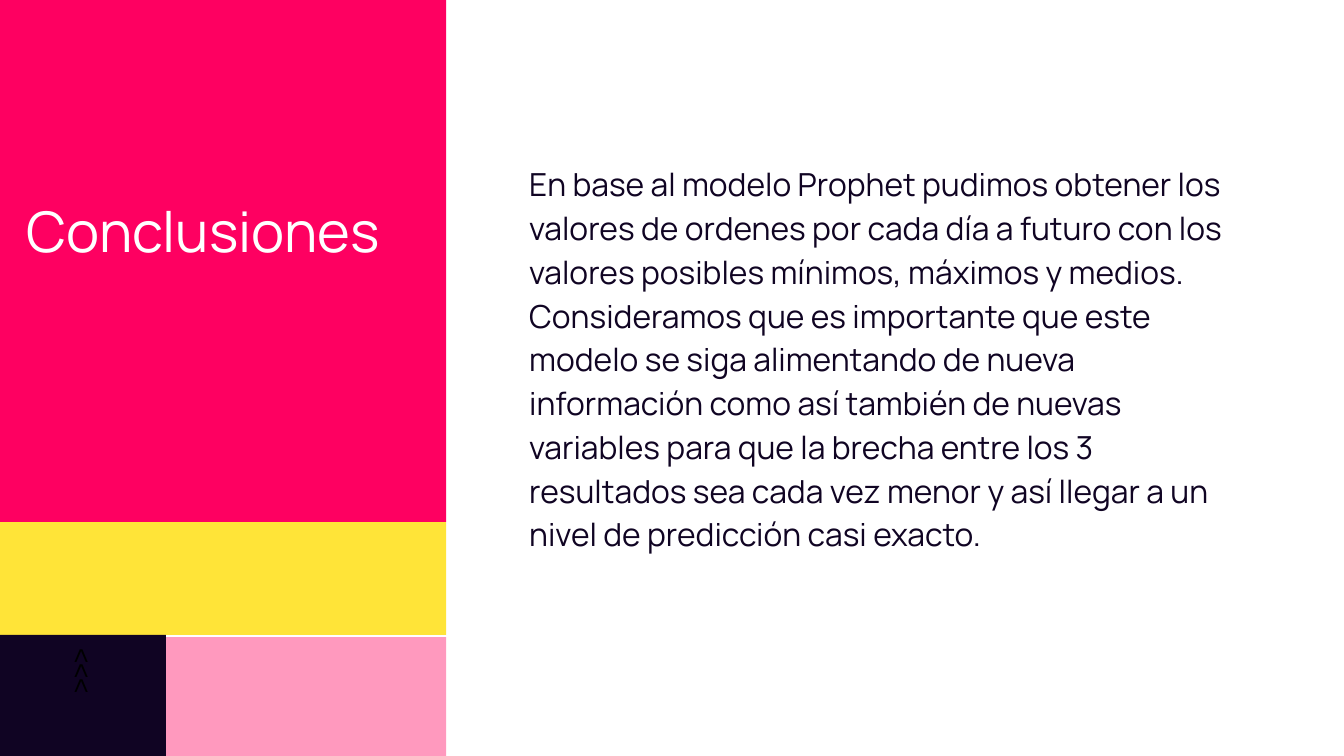
from pptx import Presentation
from pptx.dml.color import RGBColor
from pptx.enum import shapes, text
from pptx import util as u

WIDTH, HEIGHT = 1344, 756
SCALE = u.Inches(10) / WIDTH
INSET = 13.44

PINK = RGBColor(0xFF, 0x99, 0xBE)
YELLOW = RGBColor(0xFF, 0xE4, 0x38)
RED = RGBColor(0xFE, 0x00, 0x61)
NAVY = RGBColor(0x10, 0x04, 0x23)
WHITE = RGBColor(0xFF, 0xFF, 0xFF)
BLACK = RGBColor(0, 0, 0)

TITLE = "Conclusiones"
TITLE_BOX = (13, 183, 433, 95)
BODY = [
    "En base al modelo Prophet pudimos obtener los valores de ordenes por cada día "
    "a futuro con los valores posibles mínimos, máximos y medios.",
    "Consideramos que es importante que este modelo se siga alimentando de nueva "
    "información como así también de nuevas variables para que la brecha entre los "
    "3 resultados sea cada vez menor y así llegar a un nivel de predicción casi exacto.",
]
BODY_BOX = (516, 146, 747, 464)
# Left, top, width and height as seen on the slide, colour, label
BLOCKS = [
    ((165, 637, 281, 119), PINK, ""),
    ((-3, 522, 449, 113), YELLOW, ""),
    ((-1, -1, 447, 523), RED, ""),
    ((0, 635, 166, 121), NAVY, "<<<"),
]


def emu(*pixels):
    """Turn pixels into EMU."""
    return [u.Emu(round(pixel * SCALE)) for pixel in pixels]


def write(shape, lines, size, font, colour, anchor, spacing=None):
    """Fill a shape with left-aligned paragraphs in one style."""
    frame = shape.text_frame
    frame.text = "\n".join(lines)
    frame.word_wrap = True
    frame.auto_size = text.MSO_AUTO_SIZE.NONE
    frame.vertical_anchor = anchor
    (frame.margin_left, frame.margin_top,
     frame.margin_right, frame.margin_bottom) = emu(*[INSET] * 4)
    for paragraph in frame.paragraphs:
        paragraph.alignment = text.PP_ALIGN.LEFT
        paragraph.space_before = u.Pt(0)
        paragraph.line_spacing = spacing or 1.0
        for run in paragraph.runs:
            run.font.size = u.Pt(size)
            run.font.name = font
            run.font.color.rgb = colour


def add_block(slide, box, colour, label):
    """Add a rectangle turned by 90 degrees that covers the given box."""
    left, top, width, height = box
    shift = (width - height) / 2
    block = slide.shapes.add_shape(
        shapes.MSO_SHAPE.RECTANGLE, *emu(left + shift, top - shift, height, width))
    block.rotation = 90
    block.shadow.inherit = False
    block.fill.solid()
    block.fill.fore_color.rgb = colour
    block.line.fill.background()
    if label:
        write(block, [label], 14, "Arial", BLACK, text.MSO_ANCHOR.MIDDLE)


presentation = Presentation()
presentation.slide_width, presentation.slide_height = emu(WIDTH, HEIGHT)
slide = presentation.slides.add_slide(presentation.slide_layouts[5])
slide.background.fill.solid()
slide.background.fill.fore_color.rgb = WHITE

for box, colour, label in BLOCKS:
    add_block(slide, box, colour, label)

title = slide.shapes.title
title.left, title.top, title.width, title.height = emu(*TITLE_BOX)
write(title, [TITLE], 30, "Manrope", WHITE, text.MSO_ANCHOR.TOP)
slide.shapes._spTree.append(title._element)

body = slide.shapes.add_textbox(*emu(*BODY_BOX))
write(body, BODY, 17, "Manrope", NAVY, text.MSO_ANCHOR.TOP, 1.15)

presentation.save("out.pptx")
